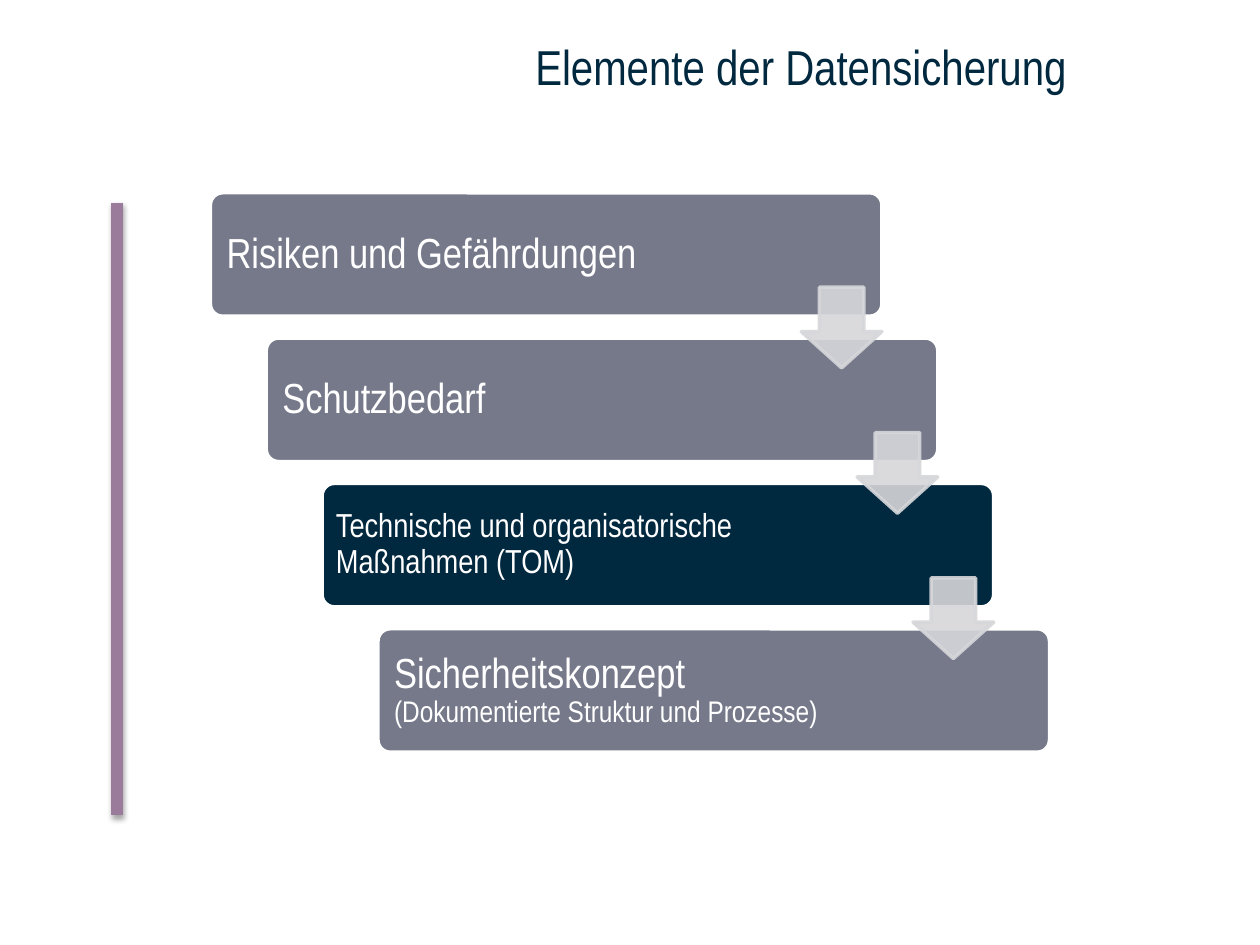
import pptx
import pptx.util
import pptx.dml.color
import pptx.enum.shapes
import pptx.enum.text
import pptx.oxml
import pptx.oxml.ns
from dataclasses import dataclass

Inches, Pt = pptx.util.Inches, pptx.util.Pt
Kind = pptx.enum.shapes.MSO_SHAPE
Anchor = pptx.enum.text.MSO_ANCHOR


@dataclass(frozen=True)
class Theme:
    font: str = "Arial Narrow"
    navy: str = "00283F"
    slate: str = "76798A"
    pale: str = "D6D7DA"
    white: str = "FFFFFF"
    mauve: str = "9A7B9B"
    title: int = 28
    large: int = 24
    mid: int = 19
    small: int = 17


class Deck:
    """Hold the theme and the current slide and draw elements on it."""

    def __init__(self, theme):
        self.theme = theme
        self.file = pptx.Presentation()
        self.file.slide_width, self.file.slide_height = Inches(10), Inches(7.5)
        self.slide = self.file.slides.add_slide(self.file.slide_layouts[6])

    def apply(self, item, form):
        for key, value in form.items():
            setattr(item, key, value)

    def color(self, code):
        return pptx.dml.color.RGBColor.from_string(code)

    def text(self, box, lines, color, inset=0.1, anchor=Anchor.MIDDLE, space=0.9):
        shape = self.slide.shapes.add_textbox(*map(Inches, box))
        frame = shape.text_frame
        sides = ("left", "top", "right", "bottom")
        form = {f"margin_{side}": Inches(inset) for side in sides}
        self.apply(frame, {**form, "word_wrap": True, "vertical_anchor": anchor})
        para = frame.paragraphs[0]
        para.line_spacing = space
        for row, (words, size) in enumerate(lines):
            if row:
                para.add_line_break()
            run = para.add_run()
            run.text = words
            self.apply(run.font, {"name": self.theme.font, "size": Pt(size)})
            run.font.color.rgb = self.color(color)

    def shape(self, kind, box, fill, line, adjust, alpha=None):
        shape = self.slide.shapes.add_shape(kind, *map(Inches, box))
        shape.shadow.inherit = False
        shape.fill.solid()
        shape.fill.fore_color.rgb = self.color(fill)
        shape.line.color.rgb = self.color(line)
        shape.line.width = Pt(2)
        for spot, value in enumerate(adjust):
            shape.adjustments[spot] = value
        if alpha:
            for node in shape._element.spPr.iter(pptx.oxml.ns.qn("a:srgbClr")):
                node.append(pptx.oxml.parse_xml(
                    f'<a:alpha {pptx.oxml.ns.nsdecls("a")} val="{alpha * 1000}"/>'))

    def rule(self, start, end, color, width):
        kind = pptx.enum.shapes.MSO_CONNECTOR.STRAIGHT
        line = self.slide.shapes.add_connector(kind, *map(Inches, start + end))
        line.line.color.rgb = self.color(color)
        line.line.width = Pt(width)
        line._element.spPr.append(pptx.oxml.parse_xml(
            f'<a:effectLst {pptx.oxml.ns.nsdecls("a")}>'
            f'<a:outerShdw blurRad="{Pt(3.1)}" dist="{Pt(1.8)}" dir="5400000" rotWithShape="0">'
            '<a:srgbClr val="000000"><a:alpha val="35000"/></a:srgbClr>'
            '</a:outerShdw></a:effectLst>'))


theme = Theme()
deck = Deck(theme)
deck.rule((0.93, 1.61), (0.93, 6.47), theme.mauve, 6.5)
deck.text((4.15, 0.19, 4.85, 1.09), [("Elemente der Datensicherung", theme.title)],
          theme.navy, 0.1, Anchor.TOP, 1.0)

steps = [
    ([("Risiken und Gefährdungen", theme.large)], theme.slate, 0.1),
    ([("Schutzbedarf", theme.large)], theme.slate, 0.1),
    ([("Technische und organisatorische Maßnahmen (TOM)", theme.mid)], theme.navy, 0.08),
    ([("Sicherheitskonzept", theme.large),
      ("(Dokumentierte Struktur und Prozesse)", theme.small)], theme.slate, 0.1),
]
spots = [(1.67 + 1.33 * i / 3, 1.53 + 3.46 * i / 3) for i in range(len(steps))]
for (left, top), (lines, fill, inset) in zip(spots, steps):
    deck.shape(Kind.ROUNDED_RECTANGLE, (left, top, 5.33, 0.98), fill, theme.white, [0.1])
    deck.text((left + 0.03, top + 0.03, 4.2, 0.92), lines, theme.white, inset)
for left, top in spots[:-1]:
    deck.shape(Kind.DOWN_ARROW, (left + 4.69, top + 0.75, 0.64, 0.64),
               theme.pale, theme.pale, [0.55, 0.45], 90)

deck.file.save("out.pptx")
